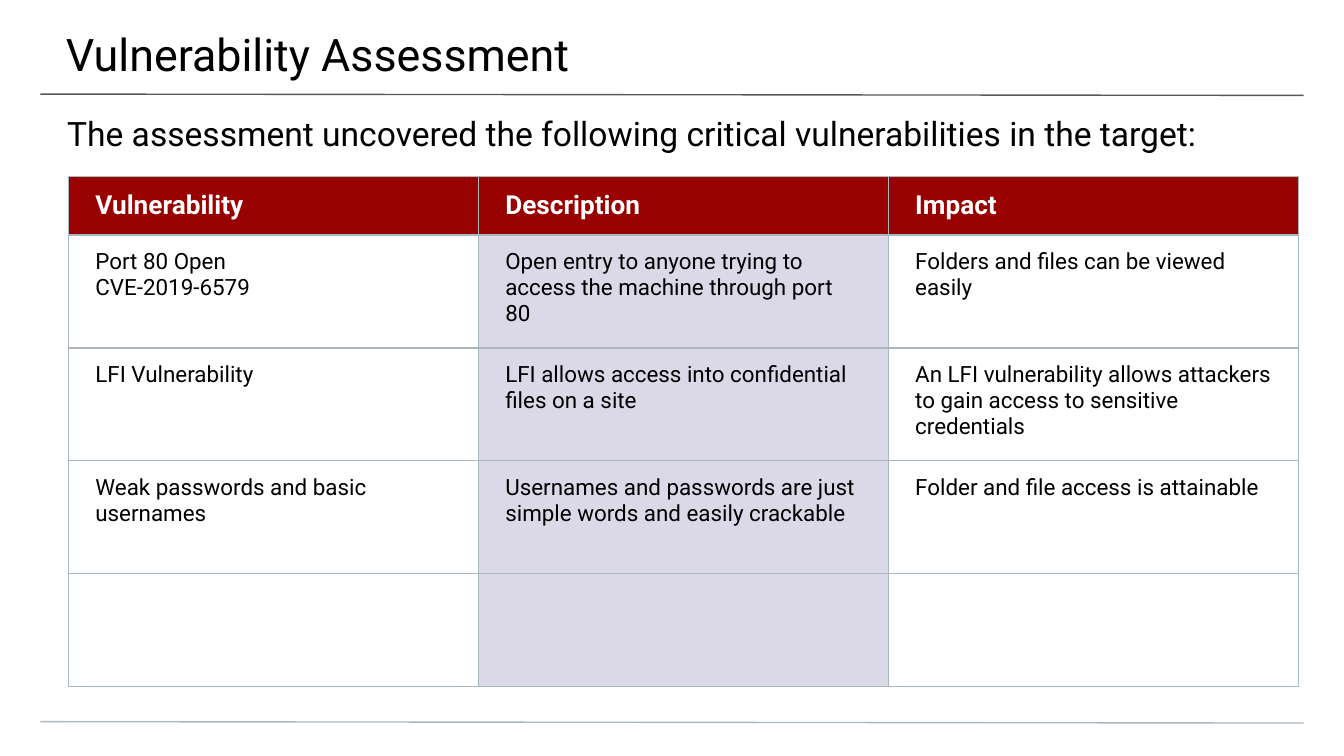
import pptx
import pptx.dml.color
import pptx.enum.shapes
import pptx.enum.text
import pptx.oxml
import pptx.oxml.ns
import pptx.util

RGBColor = pptx.dml.color.RGBColor
BLACK = RGBColor(0x00, 0x00, 0x00)
WHITE = RGBColor(0xFF, 0xFF, 0xFF)
DARK_RED = RGBColor(0x99, 0x00, 0x00)
LAVENDER = RGBColor(0xDB, 0xD9, 0xE8)
DARK_GRAY = RGBColor(0x59, 0x59, 0x59)
BLUE_GRAY = RGBColor(0xA9, 0xB7, 0xC0)

FONT = "Roboto"
EMU_PER_PX = 4572
RULE_WIDTH = pptx.util.Pt(0.75)
COLUMN_WIDTH = 610
HEADER_HEIGHT = 86
ROW_HEIGHT = 168

HEADERS = ["Vulnerability", "Description", "Impact"]
FINDINGS = [
    ["Port 80 Open\nCVE-2019-6579",
     "Open entry to anyone trying to access the machine through port 80",
     "Folders and files can be viewed easily"],
    ["LFI Vulnerability",
     "LFI allows access into confidential files on a site",
     "An LFI vulnerability allows attackers to gain access to sensitive credentials"],
    ["Weak passwords and basic usernames",
     "Usernames and passwords are just simple words and easily crackable",
     "Folder and file access is attainable"],
    ["", "", ""],
]


def px(length):
    return pptx.util.Emu(length * EMU_PER_PX)


def set_margins(area, left, top, right, bottom):
    area.margin_left, area.margin_top = px(left), px(top)
    area.margin_right, area.margin_bottom = px(right), px(bottom)


def write_text(frame, text, size, color, bold=False):
    for index, line in enumerate(text.split("\n")):
        para = frame.add_paragraph() if index else frame.paragraphs[0]
        para.font.size = pptx.util.Pt(size)
        if line:
            span = para.add_run()
            span.text = line
            span.font.name = FONT
            span.font.size = pptx.util.Pt(size)
            span.font.bold = bold
            span.font.color.rgb = color


def add_text(page, bounds, margins, text, size):
    box = page.shapes.add_textbox(*map(px, bounds))
    frame = box.text_frame
    frame.word_wrap = True
    frame.vertical_anchor = pptx.enum.text.MSO_ANCHOR.TOP
    set_margins(frame, *margins)
    write_text(frame, text, size, BLACK)


def add_rule(page, top, color):
    rule = page.shapes.add_connector(
        pptx.enum.shapes.MSO_CONNECTOR.STRAIGHT,
        px(60), px(top), px(1940), px(top + 2))
    rule.line.color.rgb = color
    rule.line.width = RULE_WIDTH
    properties = rule._element.spPr
    properties.append(properties.makeelement(pptx.oxml.ns.qn("a:effectLst"), {}))


def add_borders(cell):
    properties = cell._tc.get_or_add_tcPr()
    for index, side in enumerate(["lnL", "lnR", "lnT", "lnB"]):
        border = pptx.oxml.parse_xml(
            f'<a:{side} {pptx.oxml.ns.nsdecls("a")} w="{RULE_WIDTH}">'
            f'<a:solidFill><a:srgbClr val="{BLUE_GRAY}"/></a:solidFill></a:{side}>')
        properties.insert(index, border)


def style_cell(cell, text, is_header, is_description):
    set_margins(cell, 40, 20, 40, 20)
    if is_header or is_description:
        cell.fill.solid()
        cell.fill.fore_color.rgb = DARK_RED if is_header else LAVENDER
    else:
        cell.fill.background()
    if is_header:
        cell.vertical_anchor = pptx.enum.text.MSO_ANCHOR.MIDDLE
        write_text(cell.text_frame, text, 14, WHITE, True)
    else:
        cell.vertical_anchor = pptx.enum.text.MSO_ANCHOR.TOP
        write_text(cell.text_frame, text, 12, BLACK)
    add_borders(cell)


def add_findings_table(page, left, top):
    rows = [HEADERS] + FINDINGS
    heights = [HEADER_HEIGHT] + [ROW_HEIGHT] * len(FINDINGS)
    table = page.shapes.add_table(
        len(rows), len(HEADERS), px(left), px(top),
        px(COLUMN_WIDTH * len(HEADERS)), px(sum(heights))).table
    table.horz_banding = False
    for column in table.columns:
        column.width = px(COLUMN_WIDTH)
    for row_index, texts in enumerate(rows):
        table.rows[row_index].height = px(heights[row_index])
        for column_index, text in enumerate(texts):
            style_cell(table.cell(row_index, column_index), text,
                       row_index == 0, column_index == 1)


def main():
    deck = pptx.Presentation()
    deck.slide_width, deck.slide_height = px(2000), px(1125)
    page = deck.slides.add_slide(deck.slide_layouts[6])
    page.background.fill.solid()
    page.background.fill.fore_color.rgb = WHITE
    add_rule(page, 140, DARK_GRAY)
    add_rule(page, 1074, BLUE_GRAY)
    add_text(page, (-2, 0, 2006, 116), (100, 40, 60, 20),
             "Vulnerability Assessment", 24)
    add_text(page, (0, 148, 2000, 80), (100, 20, 100, 0),
             "The assessment uncovered the following critical vulnerabilities in the target:", 18)
    add_findings_table(page, 102, 263)
    deck.save("out.pptx")


if __name__ == "__main__":
    main()
